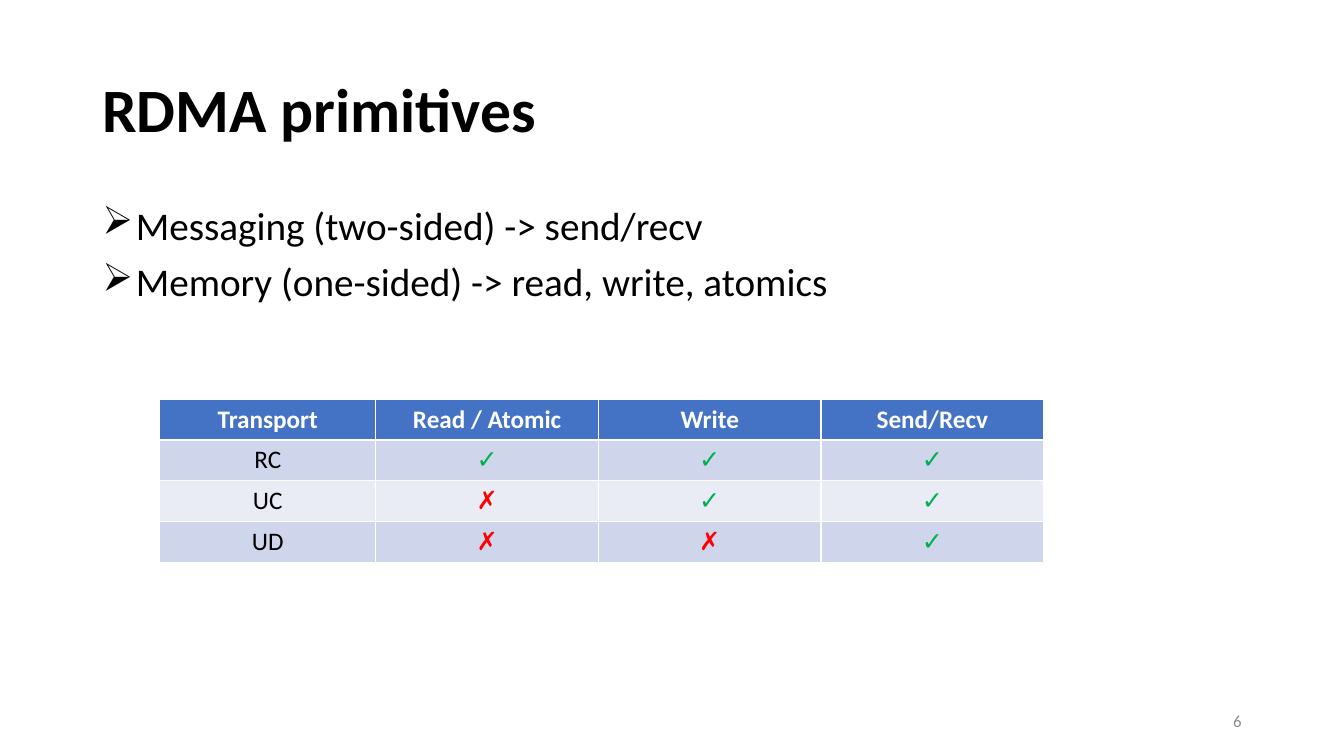
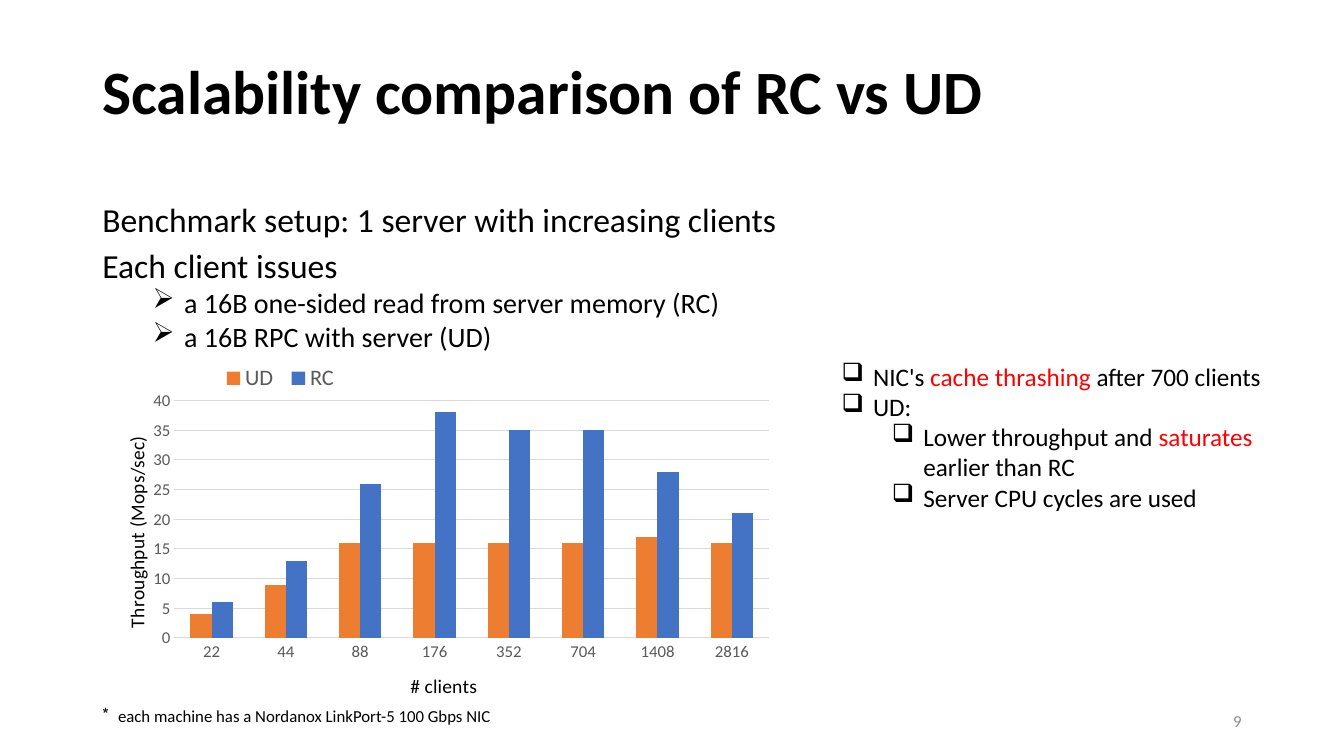
from dataclasses import dataclass

from lxml.etree import SubElement
from pptx import Presentation
from pptx.chart.data import CategoryChartData
from pptx.dml.color import RGBColor
from pptx.enum.chart import XL_CHART_TYPE, XL_LEGEND_POSITION, XL_TICK_MARK
from pptx.enum.text import MSO_ANCHOR, PP_ALIGN
from pptx.oxml import parse_xml
from pptx.oxml.ns import nsdecls, qn
from pptx.util import Emu, Pt


@dataclass(frozen=True)
class Theme:
    font: str = "Calibri"
    ink: str = "000000"
    paper: str = "FFFFFF"
    muted: str = "8C8C8C"
    label: str = "595959"
    grid: str = "D9D9D9"
    blue: str = "4472C4"
    orange: str = "ED7D31"
    green: str = "00B050"
    red: str = "FF0000"
    bands: tuple = ("CFD5EA", "E9EBF5")
    title: int = 44
    large: int = 28
    lead: int = 24
    item: int = 20
    body: int = 18
    legend: int = 16
    axis: int = 14
    small: int = 12


T = Theme()
ARROW, SQUARE = "➢", "❑"


def px(n):
    return Emu(n * 9525)


def area(box):
    return [px(n) for n in box]


def rgb(code):
    return RGBColor.from_string(code)


def style(font, size, color=T.ink, bold=False):
    font.name, font.size, font.bold = T.font, Pt(size), bold
    font.color.rgb = rgb(color)


def put(frame, text, size=T.body, color=T.ink, bold=False, align=PP_ALIGN.LEFT,
        line=None, before=0, bullet=None, left=0, hang=0):
    """Add a paragraph; words between bars are red."""
    para = frame.paragraphs[0]
    if para.runs:
        para = frame.add_paragraph()
    para.alignment, para.space_before = align, Pt(before)
    if line:
        para.line_spacing = line
    if bullet:
        prop = para._p.get_or_add_pPr()
        prop.set("marL", str(px(left)))
        prop.set("indent", str(px(-hang)))
        SubElement(prop, qn("a:buChar")).set("char", bullet)
    for i, part in enumerate(text.split("|")):
        run = para.add_run()
        run.text = part
        style(run.font, size, T.red if i % 2 else color, bold)


def frame(slide, box, anchor=MSO_ANCHOR.TOP):
    text = slide.shapes.add_textbox(*area(box)).text_frame
    text.word_wrap, text.vertical_anchor = True, anchor
    return text


def base(deck, title, number, high):
    """Add a slide with its title and page number."""
    slide = deck.slides.add_slide(deck.slide_layouts[6])
    put(frame(slide, (88, 38, 1104, high), MSO_ANCHOR.MIDDLE), title,
        size=T.title, bold=True, line=0.9)
    put(frame(slide, (904, 667, 288, 38), MSO_ANCHOR.MIDDLE), str(number),
        size=T.small, color=T.muted, align=PP_ALIGN.RIGHT)
    return slide


def grid(slide, box, rows, first):
    """Draw a banded table whose first column has its own width."""
    count = len(rows[0])
    table = slide.shapes.add_table(len(rows), count, *area(box)).table
    rest = (box[2] - first) // (count - 1)
    for i, col in enumerate(table.columns):
        col.width = px(rest if i else first)
    marks = {"✓": T.green, "✗": T.red}
    for r, row in enumerate(rows):
        table.rows[r].height = px(box[3] // len(rows))
        for c, text in enumerate(row):
            cell = table.cell(r, c)
            cell.fill.solid()
            cell.fill.fore_color.rgb = rgb(T.bands[(r - 1) % 2] if r else T.blue)
            put(cell.text_frame, text, align=PP_ALIGN.CENTER,
                color=marks.get(text, T.ink) if r else T.paper,
                bold=r == 0 or text == "✗")


def place(node, index, inner=False, **spots):
    """Give a chart part a manual layout, in shares of the chart."""
    for old in node.findall(qn("c:layout")):
        node.remove(old)
    tags = '<c:layoutTarget val="inner"/>' if inner else ""
    tags += '<c:xMode val="edge"/><c:yMode val="edge"/>'
    tags += "".join(f'<c:{key} val="{val}"/>' for key, val in spots.items())
    node.insert(index, parse_xml(
        f'<c:layout {nsdecls("c")}><c:manualLayout>{tags}</c:manualLayout></c:layout>'))


def bars(slide, box, cats, series):
    """Draw clustered columns; series holds (name, color, values)."""
    data = CategoryChartData()
    data.categories = cats
    for name, _, vals in series:
        data.add_series(name, vals)
    chart = slide.shapes.add_chart(
        XL_CHART_TYPE.COLUMN_CLUSTERED, *area(box), data).chart
    style(chart.font, T.small)
    chart.has_title = False

    plot = chart.plots[0]
    plot.gap_width, plot.overlap, plot.vary_by_categories = 150, 0, False
    for bar, (_, color, _) in zip(plot.series, series):
        bar.format.fill.solid()
        bar.format.fill.fore_color.rgb = rgb(color)

    cat, val = chart.category_axis, chart.value_axis
    for axis, title in ((cat, "# clients"), (val, "Throughput (Mops/sec)")):
        axis.major_tick_mark = axis.minor_tick_mark = XL_TICK_MARK.NONE
        style(axis.tick_labels.font, T.small, T.label)
        put(axis.axis_title.text_frame, title, size=T.axis, align=PP_ALIGN.CENTER)
    val.minimum_scale, val.maximum_scale, val.major_unit = 0, 40, 5
    val.format.line.fill.background()
    for line in (cat.format.line, val.major_gridlines.format.line):
        line.color.rgb, line.width = rgb(T.grid), Pt(0.75)

    chart.has_legend = True
    chart.legend.position = XL_LEGEND_POSITION.TOP
    chart.legend.include_in_layout = False
    style(chart.legend.font, T.legend, T.label)

    def find(tag):
        return chart.element.xpath(f".//{tag}")[0]

    place(find("c:plotArea"), 0, inner=True, x=0.12, y=0.13, w=0.87, h=0.69)
    place(find("c:legend"), 1, x=0.18, y=0.02, w=0.19, h=0.09)
    place(find("c:catAx/c:title"), 1, x=0.46, y=0.91)
    place(find("c:valAx/c:title"), 1, x=0.04, y=0.23)


def verbs(deck):
    slide = base(deck, "RDMA primitives", 6, 139)
    body = frame(slide, (88, 192, 1104, 160))
    for text in ("Messaging (two-sided) -> send/recv",
                 "Memory (one-sided) -> read, write, atomics"):
        put(body, text, size=T.large, line=0.9, before=10,
            bullet=ARROW, left=32, hang=32)
    rows = (("Transport", "Read / Atomic", "Write", "Send/Recv"),
            ("RC", "✓", "✓", "✓"),
            ("UC", "✗", "✓", "✓"),
            ("UD", "✗", "✗", "✓"))
    grid(slide, (152, 380, 842, 156), rows, 206)


def scale(deck):
    slide = base(deck, "Scalability comparison of RC vs UD", 9, 104)
    body = frame(slide, (88, 192, 1104, 147))
    for text in ("Benchmark setup: 1 server with increasing clients",
                 "Each client issues"):
        put(body, text, size=T.lead, line=0.8, before=10)
    for text in ("a 16B one-sided read from server memory (RC)",
                 "a 16B RPC with server (UD)"):
        put(body, text, size=T.item, line=0.8, before=5,
            bullet=ARROW, left=78, hang=30)
    bars(slide, (88, 339, 651, 332),
         ("22", "44", "88", "176", "352", "704", "1408", "2816"),
         (("UD", T.orange, (4, 9, 16, 16, 16, 16, 17, 16)),
          ("RC", T.blue, (6, 13, 26, 38, 35, 35, 28, 21))))
    notes = frame(slide, (792, 339, 474, 156))
    for text, left in (("NIC's |cache thrashing| after 700 clients", 30),
                       ("UD:", 30),
                       ("Lower throughput and |saturates| earlier than RC", 78),
                       ("Server CPU cycles are used", 78)):
        put(notes, text, bullet=SQUARE, left=left, hang=30)
    put(frame(slide, (88, 663, 651, 38), MSO_ANCHOR.MIDDLE),
        "each machine has a Nordanox LinkPort-5 100 Gbps NIC",
        size=T.small, bullet="*", left=15, hang=15)


def main():
    deck = Presentation()
    deck.slide_width, deck.slide_height = px(1280), px(720)
    verbs(deck)
    scale(deck)
    deck.save("out.pptx")


if __name__ == "__main__":
    main()
